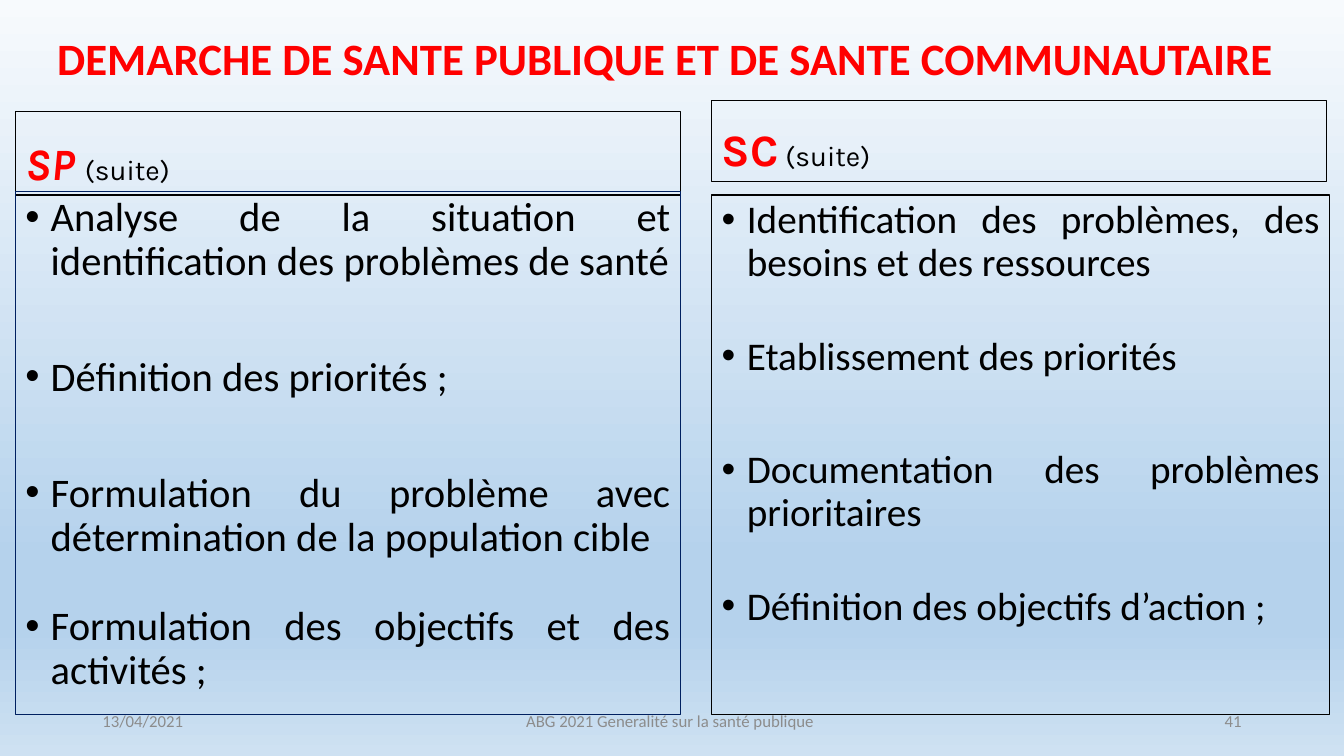
from copy import deepcopy

from pptx import Presentation
from pptx.dml.color import RGBColor
from pptx.enum.text import MSO_ANCHOR, MSO_AUTO_SIZE, PP_ALIGN
from pptx.oxml.ns import qn
from pptx.util import Pt

RED = RGBColor(0xFF, 0x00, 0x00)
BLACK = RGBColor(0x00, 0x00, 0x00)
NAVY = RGBColor(0x00, 0x20, 0x60)
GREY = RGBColor(0x8C, 0x8C, 0x8C)
SKY = [
    (0, RGBColor(0xF7, 0xFA, 0xFD)),
    (0.74, RGBColor(0xB5, 0xD2, 0xEC)),
    (0.83, RGBColor(0xB5, 0xD2, 0xEC)),
    (1, RGBColor(0xCE, 0xE1, 0xF2)),
]

TITLE = "DEMARCHE DE SANTE PUBLIQUE ET DE SANTE COMMUNAUTAIRE"
TITLE_PLACE = (23.5, 15.1, 903.6, 56.9)
TITLE_FORMAT = {"name": "Calibri", "size": Pt(32), "bold": True}
SUFFIX_FORMAT = {"name": "Karla", "size": Pt(20), "bold": False, "italic": False}

# Each item: space before in points, text
COLUMNS = [
    {
        "heading": "SP ", "suffix": "(suite)", "italic": True,
        "heading_place": (11, 79.5, 475, 59.8),
        "list_place": (11, 136.8, 475.4, 373.7),
        "line": NAVY, "size": 29,
        "items": [
            (0, "Analyse de la situation et identification des problèmes de santé"),
            (51.5, "Définition des priorités ;"),
            (51.5, "Formulation du problème avec détermination de la population cible"),
            (32.5, "Formulation des objectifs et des activités ;"),
        ],
    },
    {
        "heading": "SC", "suffix": " (suite)", "italic": False,
        "heading_place": (508.3, 72, 439.2, 57.6),
        "list_place": (508.3, 139.3, 441.4, 370.8),
        "line": BLACK, "size": 28,
        "items": [
            (0, "Identification des problèmes, des besoins et des ressources"),
            (37, "Etablissement des priorités"),
            (50.7, "Documentation des problèmes prioritaires"),
            (37, "Définition des objectifs d’action ;"),
        ],
    },
]

# Left, width, alignment, text
FOOTERS = [
    (66, 216, PP_ALIGN.LEFT, "13/04/2021"),
    (316.7, 324, PP_ALIGN.CENTER, "ABG 2021 Generalité sur la santé publique"),
    (678, 216, PP_ALIGN.RIGHT, "41"),
]
FOOTER_TOP, FOOTER_HEIGHT = 500.4, 28.8


def set_all(target, formats):
    for name, value in formats.items():
        setattr(target, name, value)


def place(shape, box, anchor):
    for name, value in zip(("left", "top", "width", "height"), box):
        setattr(shape, name, Pt(value))
    set_all(shape.text_frame, {
        "word_wrap": True, "auto_size": MSO_AUTO_SIZE.NONE, "vertical_anchor": anchor,
    })
    return shape.text_frame


def outline(shape, color):
    shape.line.color.rgb = color
    shape.line.width = Pt(0.75)


def write(para, text, color, formats):
    span = para.add_run()
    span.text = text
    set_all(span.font, formats)
    span.font.color.rgb = color


def paint_background(page):
    fill = page.background.fill
    fill.gradient()
    fill.gradient_angle = 270
    stop_list = page.element.find(".//" + qn("a:gsLst"))
    while len(stop_list) < len(SKY):
        stop_list.append(deepcopy(stop_list[0]))
    for stop, (position, color) in zip(fill.gradient_stops, SKY):
        stop.position = position
        stop.color.rgb = color


def add_column(heading, body, column):
    frame = place(heading, column["heading_place"], MSO_ANCHOR.BOTTOM)
    outline(heading, BLACK)
    para = frame.paragraphs[0]
    set_all(para, {"line_spacing": 0.9, "space_before": Pt(0)})
    write(para, column["heading"], RED, {
        "name": "Karla", "size": Pt(32), "bold": True, "italic": column["italic"],
    })
    write(para, column["suffix"], BLACK, SUFFIX_FORMAT)

    frame = place(body, column["list_place"], MSO_ANCHOR.TOP)
    outline(body, column["line"])
    for index, (gap, text) in enumerate(column["items"]):
        para = frame.add_paragraph() if index else frame.paragraphs[0]
        properties = para._p.get_or_add_pPr()
        properties.set("marL", str(Pt(18)))
        properties.set("indent", str(Pt(-18)))
        set_all(para, {
            "alignment": PP_ALIGN.JUSTIFY, "line_spacing": 0.9, "space_before": Pt(gap),
        })
        write(para, text, BLACK, {"name": "Calibri", "size": Pt(column["size"])})


def main():
    deck = Presentation()
    deck.slide_width, deck.slide_height = Pt(960), Pt(540)
    page = deck.slides.add_slide(deck.slide_layouts.get_by_name("Comparison"))
    paint_background(page)

    title, *bodies = page.placeholders
    para = place(title, TITLE_PLACE, MSO_ANCHOR.MIDDLE).paragraphs[0]
    set_all(para, {"alignment": PP_ALIGN.CENTER, "line_spacing": 0.9})
    write(para, TITLE, RED, TITLE_FORMAT)

    for heading, body, column in zip(bodies[::2], bodies[1::2], COLUMNS):
        add_column(heading, body, column)

    for left, width, alignment, text in FOOTERS:
        box = page.shapes.add_textbox(0, 0, 0, 0)
        frame = place(box, (left, FOOTER_TOP, width, FOOTER_HEIGHT), MSO_ANCHOR.MIDDLE)
        para = frame.paragraphs[0]
        para.alignment = alignment
        write(para, text, GREY, {"name": "Calibri", "size": Pt(12)})

    deck.save("out.pptx")


if __name__ == "__main__":
    main()
